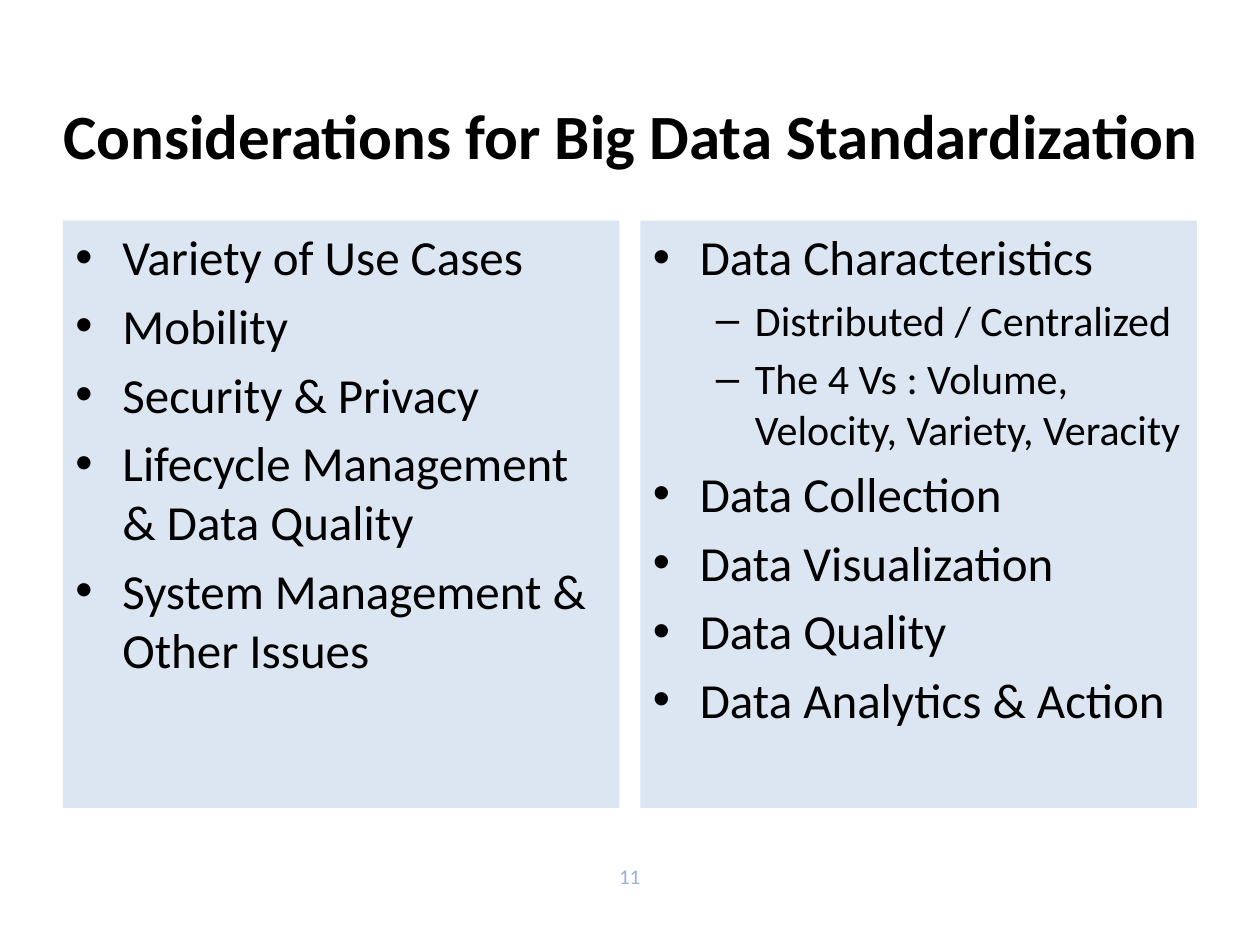
from dataclasses import dataclass

from lxml import etree
from pptx import Presentation
from pptx import util as u
from pptx.dml.color import RGBColor
from pptx.enum import shapes, text
from pptx.oxml import ns


@dataclass(frozen=True)
class Theme:
    """Colours, type sizes and list levels of the slide."""
    font: str = "Calibri"
    ink: str = "000000"
    panel: str = "DCE6F2"
    muted: str = "95B3D7"
    title_size: int = 36
    number_size: int = 12
    level_sizes: tuple = (28, 24)
    bullets: tuple = ("•", "–")
    margins: tuple = (0.95, 2.06)
    hangings: tuple = (0.95, 0.79)
    spacing: float = 0.2


class SlideBuilder:
    """Draws styled elements on the current slide."""

    def __init__(self, page, theme):
        self.page = page
        self.theme = theme

    def style(self, para, size, color, bold=False):
        """Format every run of a paragraph."""
        for span in para.runs:
            span.font.name = self.theme.font
            span.font.size = u.Pt(size)
            span.font.bold = bold
            span.font.color.rgb = RGBColor.from_string(color)

    def label(self, words, area, size, color, bold=False):
        """Add one centred line of text."""
        box = self.page.shapes.add_textbox(*map(u.Cm, area))
        frame = box.text_frame
        frame.word_wrap = True
        frame.vertical_anchor = text.MSO_ANCHOR.MIDDLE
        frame.text = words
        para = frame.paragraphs[0]
        para.alignment = text.PP_ALIGN.CENTER
        self.style(para, size, color, bold)

    def bullet(self, para, words, level):
        """Fill a paragraph as a list item with a hanging bullet."""
        theme = self.theme
        size = theme.level_sizes[level]
        para.text = words
        para.level = level
        para.alignment = text.PP_ALIGN.LEFT
        para.space_before = u.Pt(size * theme.spacing)
        self.style(para, size, theme.ink)
        properties = para._p.get_or_add_pPr()
        properties.set("marL", str(u.Cm(theme.margins[level])))
        properties.set("indent", str(-u.Cm(theme.hangings[level])))
        etree.SubElement(properties, ns.qn("a:buFont"), typeface="Arial")
        etree.SubElement(properties, ns.qn("a:buChar"), char=theme.bullets[level])

    def panel(self, items, area):
        """Add a filled panel holding a list of (level, words) items."""
        box = self.page.shapes.add_shape(shapes.MSO_SHAPE.RECTANGLE, *map(u.Cm, area))
        box.shadow.inherit = False
        box.fill.solid()
        box.fill.fore_color.rgb = RGBColor.from_string(self.theme.panel)
        box.line.fill.background()
        frame = box.text_frame
        frame.word_wrap = True
        frame.vertical_anchor = text.MSO_ANCHOR.TOP
        for index, (level, words) in enumerate(items):
            para = frame.add_paragraph() if index else frame.paragraphs[0]
            self.bullet(para, words, level)


PANELS = (
    (
        (0, "Variety of Use Cases"),
        (0, "Mobility"),
        (0, "Security & Privacy"),
        (0, "Lifecycle Management & Data Quality"),
        (0, "System Management & Other Issues"),
    ),
    (
        (0, "Data Characteristics"),
        (1, "Distributed / Centralized"),
        (1, "The 4 Vs : Volume, Velocity, Variety, Veracity"),
        (0, "Data Collection"),
        (0, "Data Visualization"),
        (0, "Data Quality"),
        (0, "Data Analytics & Action"),
    ),
)


def main():
    """Build and save the slide."""
    theme = Theme()
    deck = Presentation()
    deck.slide_width, deck.slide_height = u.Cm(25.4), u.Cm(19.05)
    page = deck.slides.add_slide(deck.slide_layouts[6])
    builder = SlideBuilder(page, theme)
    builder.label("Considerations for Big Data Standardization",
                  (0.23, 1.57, 24.97, 2.29), theme.title_size, theme.ink, bold=True)
    left, width, gap = 1.27, 11.22, 0.42
    for column, items in enumerate(PANELS):
        builder.panel(items, (left + column * (width + gap), 4.45, width, 11.84))
    builder.label("11", (9.73, 17.15, 5.93, 1.02), theme.number_size, theme.muted)
    deck.save("out.pptx")


if __name__ == "__main__":
    main()
